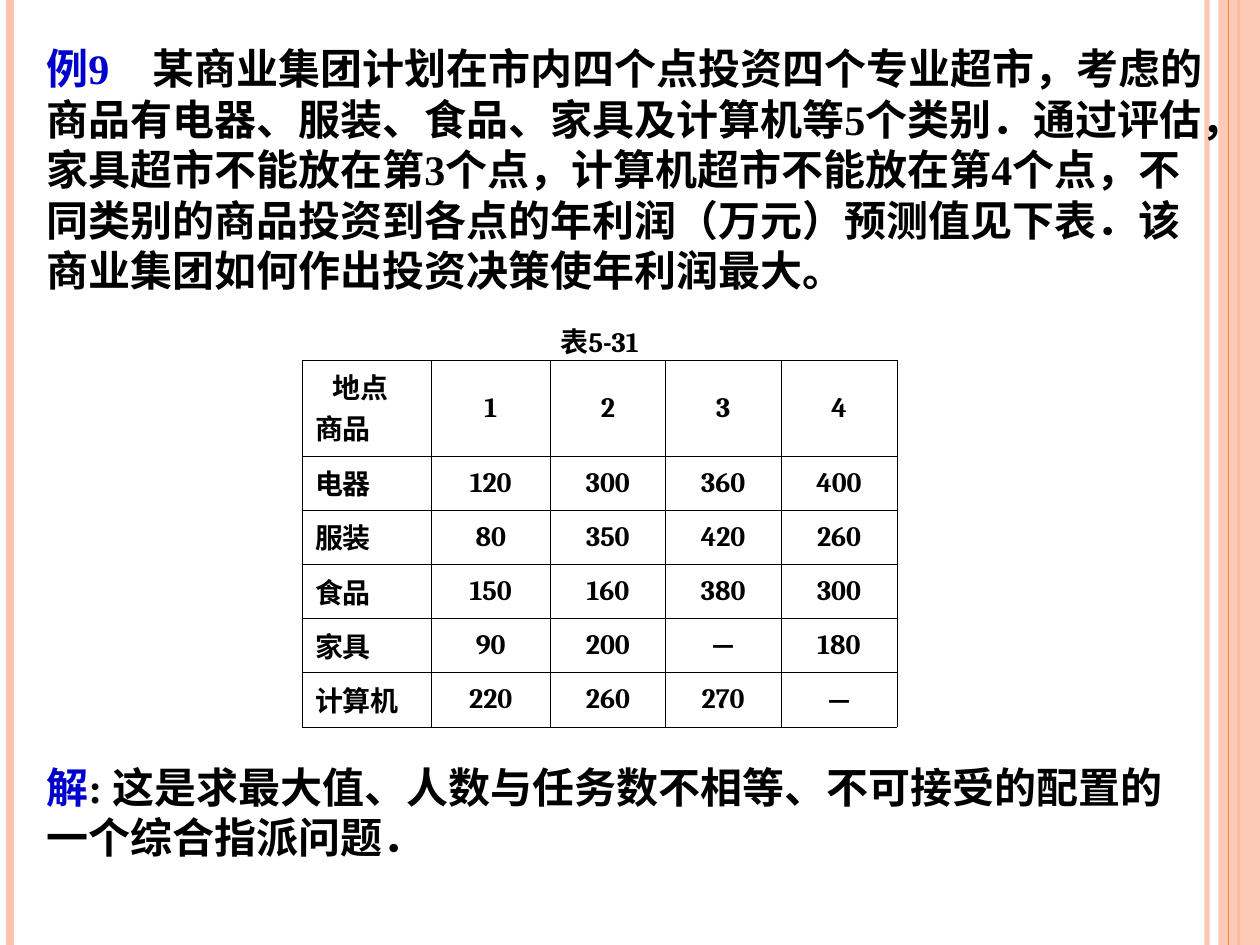
"""Build the slide on assigning four supermarket sites to five goods categories."""
from lxml import etree
from pptx import Presentation, util as u
from pptx.dml.color import RGBColor
from pptx.enum import shapes, text
from pptx.oxml import ns

WIDTH, HEIGHT = 10, 7.5
BLACK = RGBColor(0x00, 0x00, 0x00)
BLUE = RGBColor(0x00, 0x00, 0xCC)
PEACH = RGBColor(0xFE, 0xC3, 0xAE)
ORANGE = RGBColor(0xFE, 0x86, 0x37)
BODY_FONT, TABLE_FONT = "Times New Roman", "Cambria"
LABEL_INDENT = 0.14

PROBLEM = (
    "某商业集团计划在市内四个点投资四个专业超市，考虑的商品有电器、服装、食品、家具及计算机等5个类别．"
    "通过评估，家具超市不能放在第3个点，计算机超市不能放在第4个点，"
    "不同类别的商品投资到各点的年利润（万元）预测值见下表．该商业集团如何作出投资决策使年利润最大。"
)
SOLUTION = ": 这是求最大值、人数与任务数不相等、不可接受的配置的一个综合指派问题．"
CAPTION = "表5-31"
PROFITS = [
    ["地点\n商品", "1", "2", "3", "4"],
    ["电器", "120", "300", "360", "400"],
    ["服装", "80", "350", "420", "260"],
    ["食品", "150", "160", "380", "300"],
    ["家具", "90", "200", "－", "180"],
    ["计算机", "220", "260", "270", "－"],
]
COLUMN_WIDTHS = [1.02, 0.95, 0.91, 0.92, 0.92]
ROW_HEIGHTS = [0.37, 0.76] + [0.43] * 5


def child(parent, tag, **attributes):
    """Append a DrawingML element to a parent."""
    return etree.SubElement(parent, ns.qn(tag), attributes)


def set_opacity(element, percent):
    """Make the first solid colour of an element partly transparent."""
    colour = next(element.iter(ns.qn("a:srgbClr")))
    child(colour, "a:alpha", val=str(percent * 1000))


def add_stripe(page, left, colour, weight, opacity=100):
    """Draw a full-height vertical line."""
    x = u.Inches(left)
    stripe = page.shapes.add_connector(
        shapes.MSO_CONNECTOR.STRAIGHT, x, 0, x, u.Inches(HEIGHT))
    stripe.line.color.rgb = colour
    stripe.line.width = u.Pt(weight)
    properties = stripe.element.spPr
    child(properties, "a:effectLst")
    if opacity < 100:
        set_opacity(properties, opacity)


def add_band(page, left, colour, opacity):
    """Fill the slide from a given position to its right edge."""
    band = page.shapes.add_shape(
        shapes.MSO_SHAPE.RECTANGLE, u.Inches(left), 0,
        u.Inches(WIDTH - left), u.Inches(HEIGHT))
    band.shadow.inherit = False
    band.fill.solid()
    band.fill.fore_color.rgb = colour
    band.line.fill.background()
    set_opacity(band.element.spPr, opacity)


def set_font(font, name, size):
    """Apply a bold font of the given name and size."""
    font.name, font.size, font.bold = name, u.Pt(size), True


def add_passage(page, top, width, height, label, body, tab=None):
    """Add a paragraph that opens with a blue label."""
    box = page.shapes.add_textbox(*map(u.Inches, (0.27, top, width, height)))
    frame = box.text_frame
    frame.word_wrap = True
    frame.vertical_anchor = text.MSO_ANCHOR.MIDDLE
    frame.auto_size = text.MSO_AUTO_SIZE.SHAPE_TO_FIT_TEXT
    para = frame.paragraphs[0]
    if tab:
        stops = child(para._p.get_or_add_pPr(), "a:tabLst")
        child(stops, "a:tab", pos=str(u.Inches(tab)), algn="l")
    set_font(para.font, BODY_FONT, 24)
    for words, colour in ((label, BLUE), (body, BLACK)):
        span = para.add_run()
        span.text = words
        span.font.color.rgb = colour


def set_borders(cell, visible):
    """Draw the named sides of a cell and hide the others."""
    properties = cell._tc.get_or_add_tcPr()
    for side in "LRTB":
        if side in visible:
            line = child(properties, f"a:ln{side}", w=str(u.Pt(0.45)))
            child(child(line, "a:solidFill"), "a:srgbClr", val=str(BLACK))
        else:
            child(child(properties, f"a:ln{side}", w="0"), "a:noFill")


def fill_cell(cell, words, centred, borders="LRTB"):
    """Write and format one table cell."""
    set_borders(cell, borders)
    cell.fill.background()
    cell.text = words
    for para in cell.text_frame.paragraphs:
        set_font(para.font, TABLE_FONT, 16)
        para.font.color.rgb = BLACK
        if centred:
            para.alignment = text.PP_ALIGN.CENTER


def add_profit_table(page):
    """Add the captioned table of profits by category and site."""
    frame = page.shapes.add_table(
        len(ROW_HEIGHTS), len(COLUMN_WIDTHS), u.Inches(2.4), u.Inches(2.49),
        u.Inches(sum(COLUMN_WIDTHS)), u.Inches(sum(ROW_HEIGHTS)))
    table = frame.table
    table.first_row = table.horz_banding = False
    for column, width in zip(table.columns, COLUMN_WIDTHS):
        column.width = u.Inches(width)
    for row, height in zip(table.rows, ROW_HEIGHTS):
        row.height = u.Inches(height)
    table.cell(0, 0).merge(table.cell(0, len(COLUMN_WIDTHS) - 1))
    for index in range(len(COLUMN_WIDTHS)):
        fill_cell(table.cell(0, index), "" if index else CAPTION, True, "B")
    for row_index, values in enumerate(PROFITS, 1):
        for index, value in enumerate(values):
            cell = table.cell(row_index, index)
            fill_cell(cell, value, index > 0)
            if index:
                cell.vertical_anchor = text.MSO_ANCHOR.MIDDLE
    site_label = table.cell(1, 0).text_frame.paragraphs[0]
    site_label._p.get_or_add_pPr().set("marL", str(u.Inches(LABEL_INDENT)))


def main():
    """Build and save the deck."""
    deck = Presentation()
    deck.slide_width, deck.slide_height = u.Inches(WIDTH), u.Inches(HEIGHT)
    page = deck.slides.add_slide(deck.slide_layouts[6])
    add_stripe(page, 9.58, PEACH, 3, 93)
    add_stripe(page, 0.08, PEACH, 4.5)
    add_stripe(page, 9.83, ORANGE, 1.5)
    add_band(page, 9.67, PEACH, 87)
    add_stripe(page, 9.75, ORANGE, 0.75)
    add_passage(page, 0.29, 9.45, 2.1, "例9\t", PROBLEM, tab=0.84)
    add_profit_table(page)
    add_passage(page, 5.99, 9.21, 0.9, "解", SOLUTION)
    deck.save("out.pptx")


if __name__ == "__main__":
    main()
